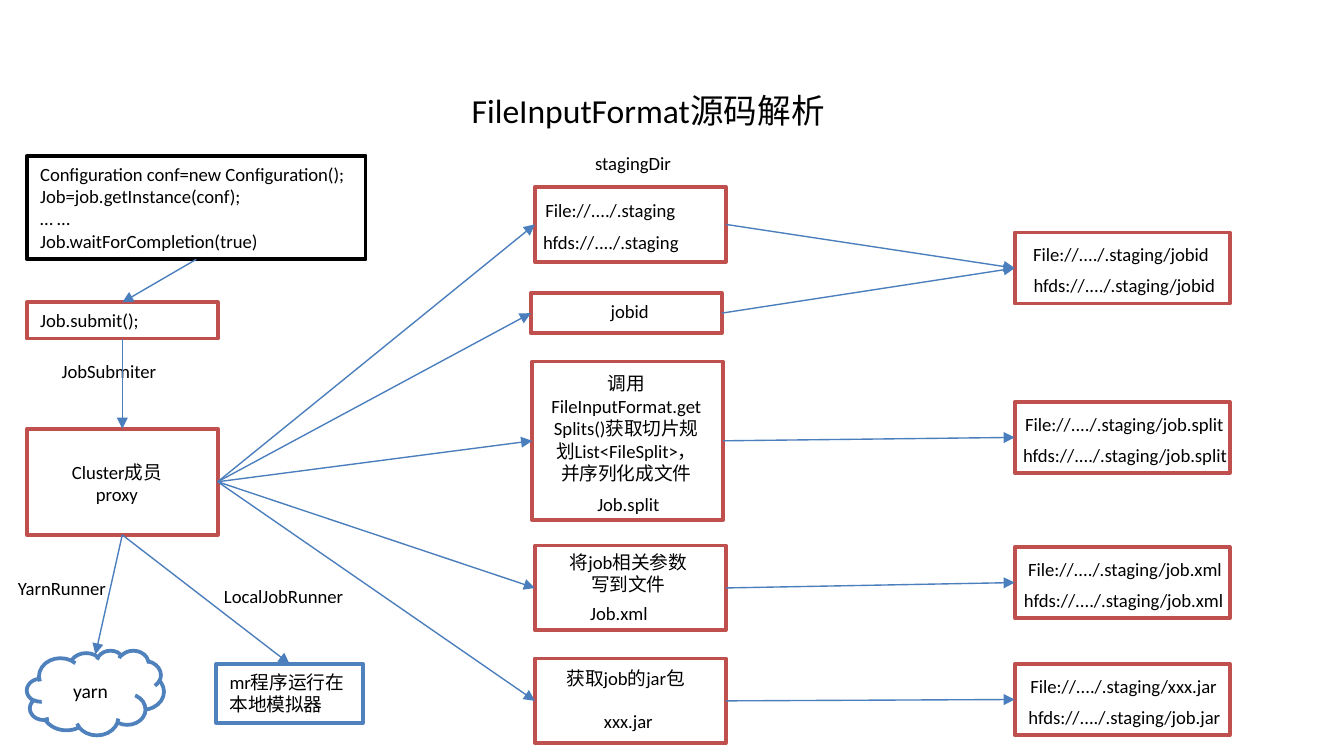
from dataclasses import dataclass

from lxml import etree
from pptx import Presentation
from pptx.dml.color import RGBColor
from pptx.enum.shapes import MSO_CONNECTOR, MSO_SHAPE
from pptx.enum.text import MSO_ANCHOR, MSO_AUTO_SIZE, PP_ALIGN
from pptx.oxml.ns import qn
from pptx.util import Inches, Pt

RECT, CLOUD = MSO_SHAPE.RECTANGLE, MSO_SHAPE.CLOUD
LEFT, CENTER = PP_ALIGN.LEFT, PP_ALIGN.CENTER
TOP, MIDDLE = MSO_ANCHOR.TOP, MSO_ANCHOR.MIDDLE
# Connection sites of a rectangle
SITE_TOP, SITE_LEFT, SITE_BOTTOM, SITE_RIGHT = range(4)


@dataclass(frozen=True)
class Theme:
    font: str = "Calibri"
    ink: RGBColor = RGBColor(0, 0, 0)
    paper: RGBColor = RGBColor(255, 255, 255)
    red: RGBColor = RGBColor(0xC0, 0x50, 0x4D)
    blue: RGBColor = RGBColor(0x4F, 0x81, 0xBD)
    arrow: RGBColor = RGBColor(0x4B, 0x7E, 0xBC)
    title: float = 18
    body: float = 10
    cloud: float = 10.5
    border: float = 2
    thin: float = 0.75


T = Theme()


def write(sp, text, size=T.body, align=CENTER, anchor=TOP, wrap=True):
    tf = sp.text_frame
    tf.auto_size = MSO_AUTO_SIZE.NONE
    tf.word_wrap = wrap
    tf.vertical_anchor = anchor
    for i, line in enumerate(text.split("\n")):
        p = tf.paragraphs[0] if i == 0 else tf.add_paragraph()
        p.alignment = align
        r = p.add_run()
        r.text = line
        r.font.size, r.font.name = Pt(size), T.font
        r.font.color.rgb = T.ink


def add_box(s, box, color=T.red, kind=RECT):
    sp = s.shapes.add_shape(kind, *map(Inches, box))
    sp.shadow.inherit = False
    sp.fill.solid()
    sp.fill.fore_color.rgb = T.paper
    sp.line.color.rgb = color
    sp.line.width = Pt(T.border)
    return sp


def add_label(s, box, text, wrap=False):
    write(s.shapes.add_textbox(*map(Inches, box)), text, wrap=wrap)


def add_arrow(s, start, start_site, end, end_site=SITE_LEFT):
    """Arrow from a site of one box to a site of another, or to an (x, y) point."""
    x, y = end if isinstance(end, tuple) else (0, 0)
    c = s.shapes.add_connector(MSO_CONNECTOR.STRAIGHT, 0, 0, Inches(x), Inches(y))
    c.begin_connect(start, start_site)
    if not isinstance(end, tuple):
        c.end_connect(end, end_site)
    c.line.color.rgb = T.arrow
    c.line.width = Pt(T.thin)
    sp_pr = c._element.spPr
    etree.SubElement(sp_pr.find(qn("a:ln")), qn("a:tailEnd"), type="triangle")
    etree.SubElement(sp_pr, qn("a:effectLst"))


def add_title(s, box, text):
    sp = s.shapes.title
    sp.left, sp.top, sp.width, sp.height = map(Inches, box)
    write(sp, text, T.title, LEFT)


def add_submission(s, x, y):
    """Column from the driver code to the cluster proxy; returns the proxy box."""
    code = add_box(s, (x, y, 2.52, 0.77), T.ink)
    write(code, "Configuration conf=new Configuration();\nJob=job.getInstance(conf);\n"
                "… …\nJob.waitForCompletion(true)", align=LEFT)
    submit = add_box(s, (x, y + 1.09, 1.42, 0.27))
    write(submit, "Job.submit();", align=LEFT)
    proxy = add_box(s, (x, y + 2.03, 1.42, 0.79))
    add_label(s, (x + 0.15, y + 1.47, 0.92, 0.27), "JobSubmiter")
    add_label(s, (x + 0.23, y + 2.22, 0.88, 0.44), "Cluster成员\nproxy", wrap=True)
    add_arrow(s, code, SITE_BOTTOM, submit, SITE_TOP)
    add_arrow(s, submit, SITE_BOTTOM, proxy, SITE_TOP)
    return proxy


def add_runners(s, x, y, proxy):
    cloud = add_box(s, (x, y, 1.02, 0.63), T.blue, CLOUD)
    write(cloud, "yarn", T.cloud, anchor=MIDDLE)
    local = add_box(s, (x + 1.41, y + 0.1, 1.09, 0.44), T.blue)
    write(local, "mr程序运行在本地模拟器", align=LEFT)
    add_label(s, (x - 0.18, y - 0.6, 0.88, 0.27), "YarnRunner")
    add_label(s, (x + 1.36, y - 0.54, 1.1, 0.27), "LocalJobRunner")
    add_arrow(s, proxy, SITE_BOTTOM, (x + 0.51, y + 0.03))
    add_arrow(s, proxy, SITE_BOTTOM, local, SITE_TOP)


def add_step(s, x, y, height, labels, proxy):
    """Step box reached from the proxy; each label is (dx, dy, w, h, text, wrap)."""
    step = add_box(s, (x, y, 1.42, height))
    for dx, dy, w, h, text, wrap in labels:
        add_label(s, (x + dx, y + dy, w, h), text, wrap)
    add_arrow(s, proxy, SITE_RIGHT, step)
    return step


def add_output(s, x, y, paths, steps):
    """Staging paths of a file, reached from the steps that write it.

    Each path is (dx, width, text).
    """
    out = add_box(s, (x, y, 1.6, 0.53))
    for dy, (dx, w, text) in zip((0.03, 0.26), paths):
        add_label(s, (x + dx, y + dy, w, 0.27), text)
    for step in steps:
        add_arrow(s, step, SITE_RIGHT, out)


STEPS = [
    (3.98, 1.39, 0.56, [(0.34, -0.31, 0.78, 0.27, "stagingDir", False),
                        (-0.03, 0.04, 1.18, 0.27, "File://..../.staging", False),
                        (-0.05, 0.28, 1.23, 0.27, "hfds://..../.staging", False)]),
    (3.95, 2.18, 0.3, [(0.49, 0, 0.49, 0.27, "jobid", False)]),
    (3.96, 2.69, 1.18, [(0.02, 0.03, 1.36, 0.94, "调用FileInputFormat.getSplits()获取切片规划"
                         "List<FileSplit>，并序列化成文件", True),
                        (0.38, 0.93, 0.67, 0.27, "Job.split", False)]),
    (3.98, 4.06, 0.63, [(0.11, -0.01, 1.17, 0.44, "将job相关参数写到文件", True),
                        (0.31, 0.37, 0.63, 0.27, "Job.xml", False)]),
    (3.98, 4.9, 0.63, [(0.09, 0.01, 1.17, 0.27, "获取job的jar包", True),
                       (0.41, 0.33, 0.57, 0.27, "xxx.jar", False)]),
]
# top, local and HDFS paths, indexes of the steps that feed the box
OUTPUTS = [
    (1.73, [(0.03, 1.52, "File://..../.staging/jobid"),
            (0.03, 1.57, "hfds://..../.staging/jobid")], (0, 1)),
    (2.99, [(-0.03, 1.69, "File://..../.staging/job.split"),
            (-0.05, 1.74, "hfds://..../.staging/job.split")], (2,)),
    (4.07, [(-0.01, 1.66, "File://..../.staging/job.xml"),
            (-0.04, 1.7, "hfds://..../.staging/job.xml")], (3,)),
    (4.94, [(0.01, 1.6, "File://..../.staging/xxx.jar"),
            (-0.01, 1.65, "hfds://..../.staging/job.jar")], (4,)),
]


def main():
    prs = Presentation()
    prs.slide_width = Inches(10)
    prs.slide_height = prs.slide_width * 9 // 16
    s = prs.slides.add_slide(prs.slide_layouts.get_by_name("Title Only"))
    add_title(s, (3.41, 0.62, 2.85, 0.4), "FileInputFormat源码解析")
    proxy = add_submission(s, 0.2, 1.16)
    add_runners(s, 0.2, 4.84, proxy)
    steps = [add_step(s, *step, proxy) for step in STEPS]
    for y, paths, sources in OUTPUTS:
        add_output(s, 7.55, y, paths, [steps[i] for i in sources])
    prs.save("out.pptx")


if __name__ == "__main__":
    main()
